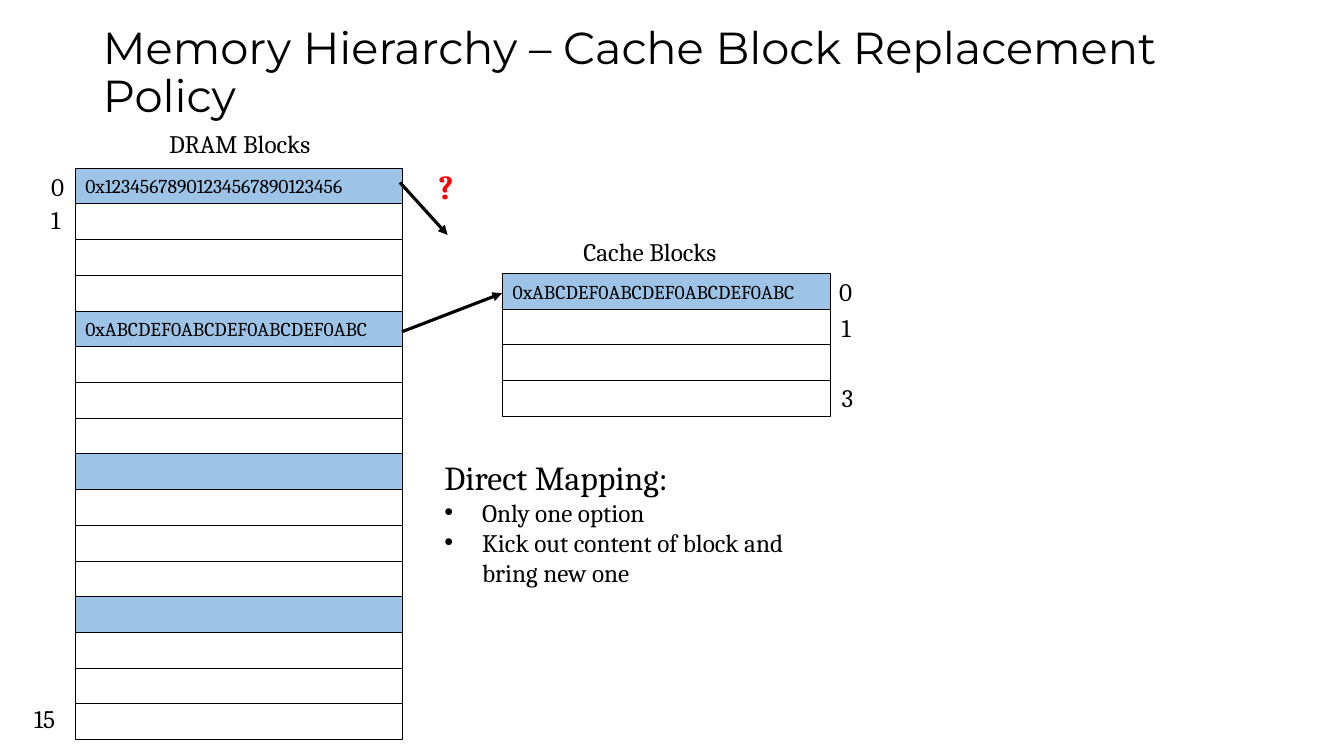
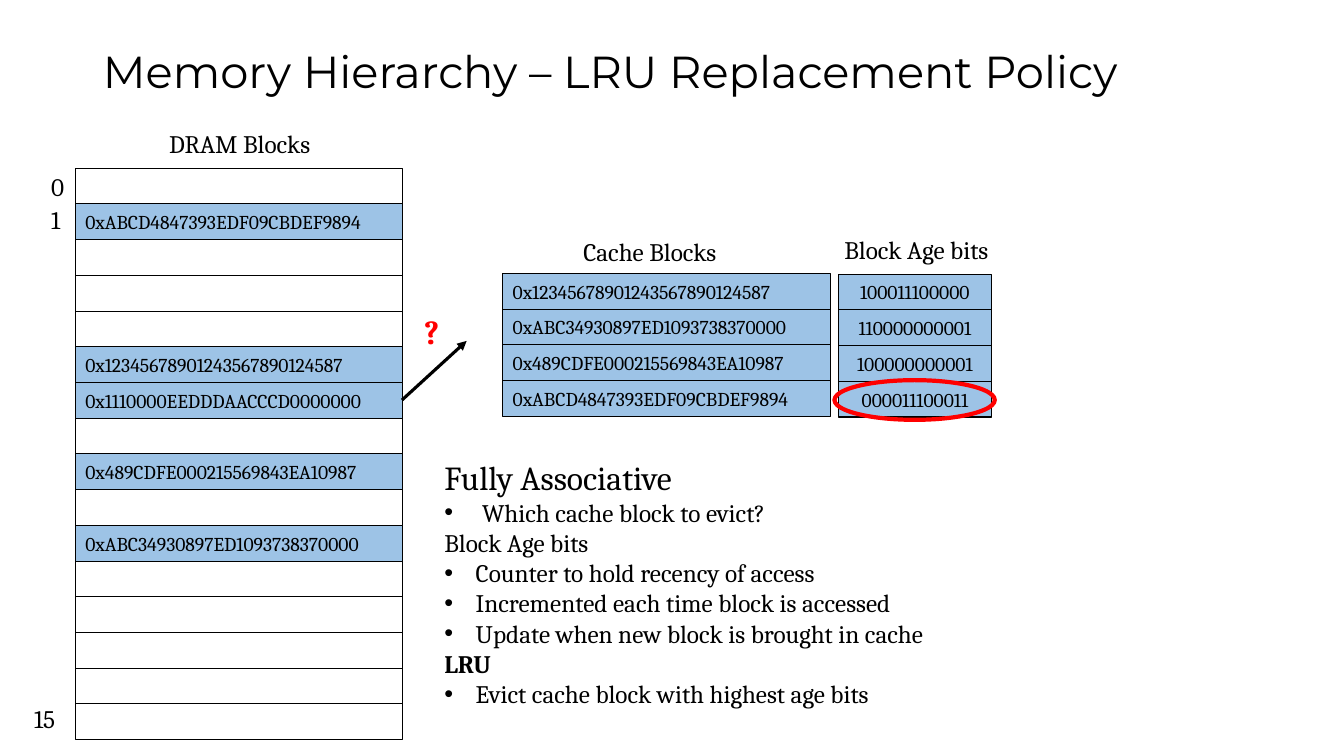
from lxml import etree
from pptx import Presentation
from pptx import util as u
from pptx.dml.color import RGBColor
from pptx.enum import shapes, text
from pptx.oxml import ns

BLACK, RED, BLUE = "000000", "FF0000", "9DC3E6"
BODY, HEAD = "Cambria", "Montserrat"
ROW = 0.9
DRAM = dict(x=1.9, y=4.24, w=8.25)
CACHE = dict(x=12.67, y=6.89, w=8.25)
AGE = dict(x=21.14, y=6.91, w=3.84, align=text.PP_ALIGN.CENTER)

SHARED_LABELS = [
    ("DRAM Blocks", 4.01, 3.12, 4.22),
    ("Cache Blocks", 14.45, 5.82, 4.09),
    ("0", 1.04, 4.19, 0.86),
    ("1", 1.04, 5.03, 0.86),
    ("15", 0.61, 17.6, 1.27),
]

SLIDES = [
    dict(
        title="Memory Hierarchy – Cache Block Replacement Policy",
        dram={0: "0x12345678901234567890123456", 4: "0xABCDEF0ABCDEF0ABCDEF0ABC",
              8: "", 12: ""},
        cache={0: "0xABCDEF0ABCDEF0ABCDEF0ABC"},
        age=[],
        labels=[("0", 20.9, 6.83, 0.86), ("1", 20.96, 7.75, 0.86), ("3", 20.96, 9.5, 0.76)],
        arrows=[(10.13, 8.36, 12.65, 7.39), (10.08, 4.6, 11.28, 5.92)],
        question=(10.8, 4.06),
        notes_width=9.27,
        notes=[("Direct Mapping:", 24, False, 0),
               ("Only one option", 18, False, 0.95),
               ("Kick out content of block and bring new one", 18, False, 0.95)],
    ),
    dict(
        title="Memory Hierarchy – LRU Replacement Policy",
        dram={1: "0xABCD4847393EDF09CBDEF9894", 5: "0x12345678901243567890124587",
              6: "0x1110000EEDDDAACCCD0000000", 8: "0x489CDFE000215569843EA10987",
              10: "0xABC34930897ED1093738370000"},
        cache=dict(enumerate(["0x12345678901243567890124587", "0xABC34930897ED1093738370000",
                              "0x489CDFE000215569843EA10987", "0xABCD4847393EDF09CBDEF9894"])),
        age=["100011100000", "110000000001", "100000000001", "000011100011"],
        labels=[("Block Age bits", 21.03, 5.77, 4.39)],
        arrows=[(10.13, 10.08, 11.76, 8.59)],
        question=(10.44, 7.7),
        notes_width=13.18,
        notes=[("Fully Associative", 24, False, 0),
               ("Which cache block to evict?", 18, False, 0.95),
               ("Block Age bits", 18, False, 0),
               ("Counter to hold recency of access", 18, False, 0.79),
               ("Incremented each time block is accessed", 18, False, 0.79),
               ("Update when new block is brought in cache", 18, False, 0.79),
               ("LRU", 18, True, 0),
               ("Evict cache block with highest age bits", 18, False, 0.79)],
    ),
]


def rgb(value):
    return RGBColor.from_string(value)


def cm(*values):
    return [u.Cm(v) for v in values]


def add_run(p, words, size, color=BLACK, font=BODY, bold=False):
    r = p.add_run()
    r.text = words
    r.font.name, r.font.size, r.font.bold = font, u.Pt(size), bold
    r.font.color.rgb = rgb(color)


def add_title(s, words):
    sp = s.shapes.title
    sp.left, sp.top, sp.width, sp.height = cm(2.34, 1.02, 29.21, 1.7)
    tf = sp.text_frame
    tf.auto_size = text.MSO_AUTO_SIZE.NONE
    tf.vertical_anchor = text.MSO_ANCHOR.MIDDLE
    p = tf.paragraphs[0]
    p.alignment, p.line_spacing = text.PP_ALIGN.LEFT, 0.9
    add_run(p, words, 32, font=HEAD)


def add_outline(s, kind, box, fill, color, weight):
    sp = s.shapes.add_shape(kind, *cm(*box))
    sp.shadow.inherit = False
    if fill:
        sp.fill.solid()
        sp.fill.fore_color.rgb = rgb(fill)
    else:
        sp.fill.background()
    sp.line.color.rgb = rgb(color)
    sp.line.width = u.Pt(weight)
    return sp


def add_blocks(s, count, filled, x, y, w, align=text.PP_ALIGN.LEFT):
    for i in range(count):
        sp = add_outline(s, shapes.MSO_SHAPE.RECTANGLE, (x, y + i * ROW, w, ROW),
                         BLUE if i in filled else None, BLACK, 0.75)
        if filled.get(i):
            tf = sp.text_frame
            tf.margin_left = tf.margin_right = tf.margin_top = tf.margin_bottom = u.Cm(0.25)
            tf.vertical_anchor = text.MSO_ANCHOR.MIDDLE
            tf.paragraphs[0].alignment = align
            add_run(tf.paragraphs[0], filled[i], 14)


def add_box(s, x, y, w, h):
    tf = s.shapes.add_textbox(*cm(x, y, w, h)).text_frame
    tf.word_wrap = True
    return tf


def add_label(s, words, x, y, w):
    add_run(add_box(s, x, y, w, 1.02).paragraphs[0], words, 18)


def add_notes(s, lines, w):
    tf = add_box(s, 10.95, 11.38, w, 0.78 * len(lines))
    for i, (words, size, bold, indent) in enumerate(lines):
        p = tf.paragraphs[0] if i == 0 else tf.add_paragraph()
        add_run(p, words, size, bold=bold)
        if indent:
            pPr = p._p.get_or_add_pPr()
            pPr.set("marL", str(u.Cm(indent)))
            pPr.set("indent", str(-u.Cm(indent)))
            etree.SubElement(pPr, ns.qn("a:buFont")).set("typeface", "Arial")
            etree.SubElement(pPr, ns.qn("a:buChar")).set("char", "•")


def add_arrow(s, *ends):
    line = s.shapes.add_connector(shapes.MSO_CONNECTOR.STRAIGHT, *cm(*ends))
    line.line.color.rgb = rgb(BLACK)
    line.line.width = u.Pt(2.25)
    etree.SubElement(line.line._get_or_add_ln(), ns.qn("a:tailEnd")).set("type", "triangle")
    etree.SubElement(line._element.spPr, ns.qn("a:effectLst"))


def add_slide(prs, data):
    s = prs.slides.add_slide(prs.slide_layouts[5])
    add_title(s, data["title"])
    add_blocks(s, 16, data["dram"], **DRAM)
    add_blocks(s, 4, data["cache"], **CACHE)
    add_blocks(s, len(data["age"]), dict(enumerate(data["age"])), **AGE)
    for label in SHARED_LABELS + data["labels"]:
        add_label(s, *label)
    add_notes(s, data["notes"], data["notes_width"])
    for arrow in data["arrows"]:
        add_arrow(s, *arrow)
    tf = add_box(s, *data["question"], 0.89, 1.27)
    add_run(tf.paragraphs[0], "?", 24, RED, bold=True)
    if data["age"]:
        add_outline(s, shapes.MSO_SHAPE.OVAL, (21.03, 9.58, 4.04, 1), None, RED, 3)


def main():
    prs = Presentation()
    prs.slide_width, prs.slide_height = cm(33.87, 19.05)
    for data in SLIDES:
        add_slide(prs, data)
    prs.save("out.pptx")


if __name__ == "__main__":
    main()
